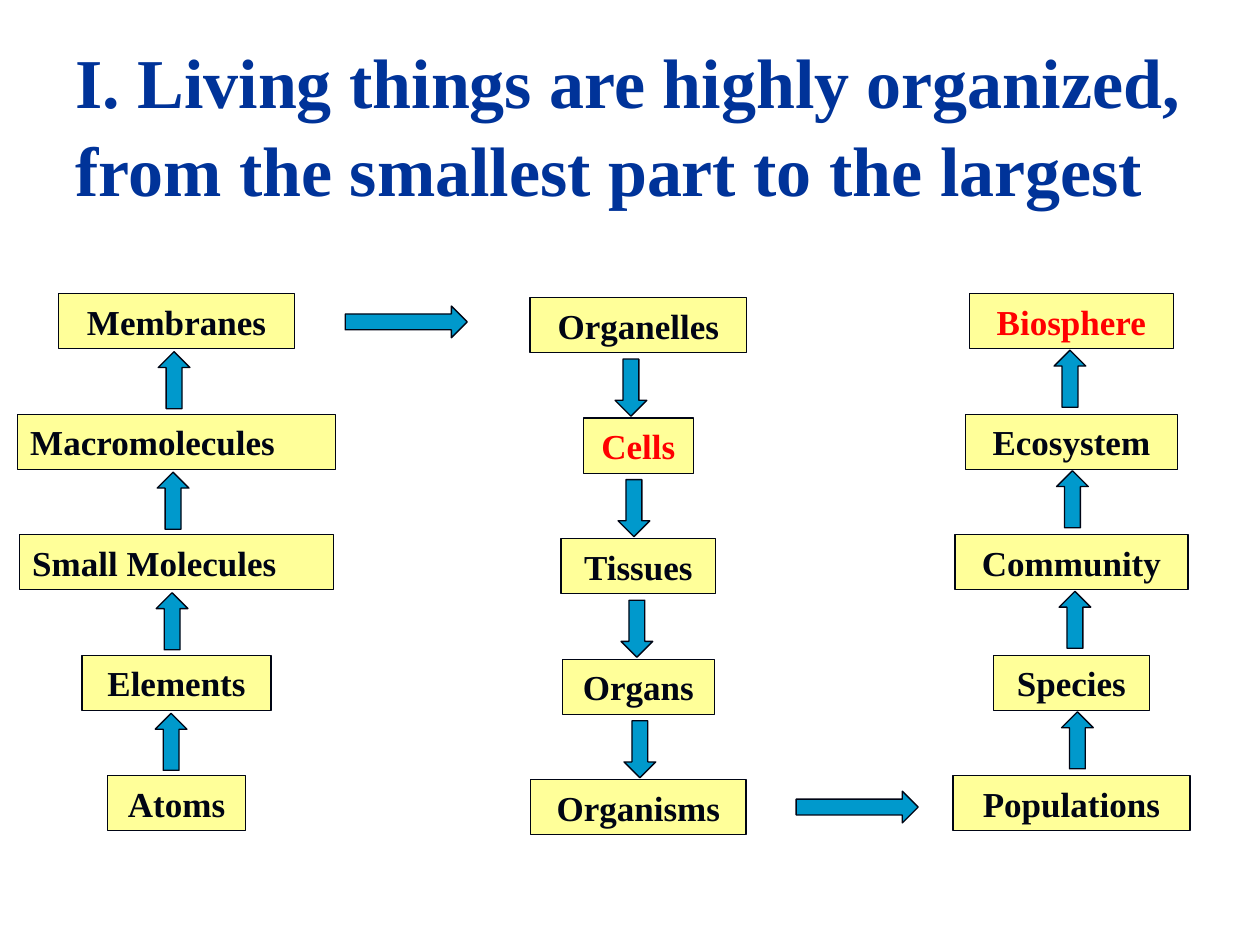
from pptx import Presentation
from pptx.dml.color import RGBColor
from pptx.enum.shapes import MSO_SHAPE
from pptx.enum.text import MSO_ANCHOR, MSO_AUTO_SIZE, PP_ALIGN
from pptx.util import Cm, Pt

RECTANGLE = MSO_SHAPE.RECTANGLE
UP, DOWN, RIGHT = MSO_SHAPE.UP_ARROW, MSO_SHAPE.DOWN_ARROW, MSO_SHAPE.RIGHT_ARROW
LEFT_ALIGN, CENTER = PP_ALIGN.LEFT, PP_ALIGN.CENTER
MIDDLE = MSO_ANCHOR.MIDDLE
NO_AUTOFIT = MSO_AUTO_SIZE.NONE

NAVY = RGBColor(0x00, 0x33, 0x99)
INK = RGBColor(0x00, 0x05, 0x14)
RED = RGBColor(0xFF, 0x00, 0x00)
YELLOW = RGBColor(0xFF, 0xFF, 0x99)
BLUE = RGBColor(0x00, 0x99, 0xCC)
FONT = "Times New Roman"

# Lengths in centimetres
LEVEL_PITCH = 2.43
LEVEL_HEIGHT = 1.11
ARROW_THICKNESS = 0.64
STEP_LENGTH = 1.15
LINK_LENGTH = 2.46

HIGHLIGHTED = {"Cells", "Biosphere"}
LEFT_ALIGNED = {"Macromolecules", "Small Molecules"}

# Each column: centre, top, arrow kind, arrow offset (across, down),
# sideways drift per arrow, and (name, width) of its levels from the top
COLUMNS = [
    (3.56, 5.92, UP, (-0.05, 1.17), -0.02,
     [("Membranes", 4.75), ("Macromolecules", 6.4), ("Small Molecules", 6.32),
      ("Elements", 3.81), ("Atoms", 2.79)]),
    (12.87, 6.0, DOWN, (-0.15, 1.24), 0.06,
     [("Organelles", 4.37), ("Cells", 2.21), ("Tissues", 3.12),
      ("Organs", 3.07), ("Organisms", 4.34)]),
    (21.6, 5.92, UP, (-0.03, 1.14), 0.05,
     [("Biosphere", 4.11), ("Ecosystem", 4.27), ("Community", 4.7),
      ("Species", 3.15), ("Populations", 4.78)]),
]
# Left and top of the arrows that lead from one column to the next
LINKS = [(6.96, 6.17), (16.05, 15.95)]


def format_font(paragraph, size, color):
    font = paragraph.runs[0].font
    font.name, font.size, font.bold = FONT, Pt(size), True
    font.color.rgb = color


def add_outlined(slide, kind, left, top, width, height, fill):
    shape = slide.shapes.add_shape(kind, Cm(left), Cm(top), Cm(width), Cm(height))
    shape.shadow.inherit = False
    shape.fill.solid()
    shape.fill.fore_color.rgb = fill
    shape.line.color.rgb = INK
    shape.line.width = Pt(0.75)
    return shape


def add_level(slide, name, left, top, width):
    shape = add_outlined(slide, RECTANGLE, left, top, width, LEVEL_HEIGHT, YELLOW)
    frame = shape.text_frame
    frame.text = name
    frame.word_wrap = True
    frame.vertical_anchor = MIDDLE
    paragraph = frame.paragraphs[0]
    paragraph.alignment = LEFT_ALIGN if name in LEFT_ALIGNED else CENTER
    format_font(paragraph, 20, RED if name in HIGHLIGHTED else INK)


def add_column(slide, center, top, arrow, offset, drift, levels):
    for index, (name, width) in enumerate(levels):
        add_level(slide, name, center - width / 2, top + index * LEVEL_PITCH, width)
    across, down = offset
    for index in range(len(levels) - 1):
        left = center + across + index * drift - ARROW_THICKNESS / 2
        add_outlined(slide, arrow, left, top + down + index * LEVEL_PITCH,
                     ARROW_THICKNESS, STEP_LENGTH, BLUE)


def add_title(slide, left, top, width, height):
    title = slide.shapes.title
    title.left, title.top = Cm(left), Cm(top)
    title.width, title.height = Cm(width), Cm(height)
    frame = title.text_frame
    frame.text = ("I. Living things are highly organized, "
                  "from the smallest part to the largest")
    frame.word_wrap = True
    frame.auto_size = NO_AUTOFIT
    frame.vertical_anchor = MIDDLE
    paragraph = frame.paragraphs[0]
    paragraph.alignment = LEFT_ALIGN
    paragraph.line_spacing = 1.04
    format_font(paragraph, 40, NAVY)


def main():
    presentation = Presentation()
    presentation.slide_width, presentation.slide_height = Cm(25.4), Cm(19.05)
    slide = presentation.slides.add_slide(presentation.slide_layouts[5])

    # Heading
    add_title(slide, 1.27, 0, 23.04, 4.95)

    # Columns of levels with their step arrows
    for column in COLUMNS:
        add_column(slide, *column)

    # Arrows between columns
    for left, top in LINKS:
        add_outlined(slide, RIGHT, left, top, LINK_LENGTH, ARROW_THICKNESS, BLUE)

    presentation.save("out.pptx")


if __name__ == "__main__":
    main()
